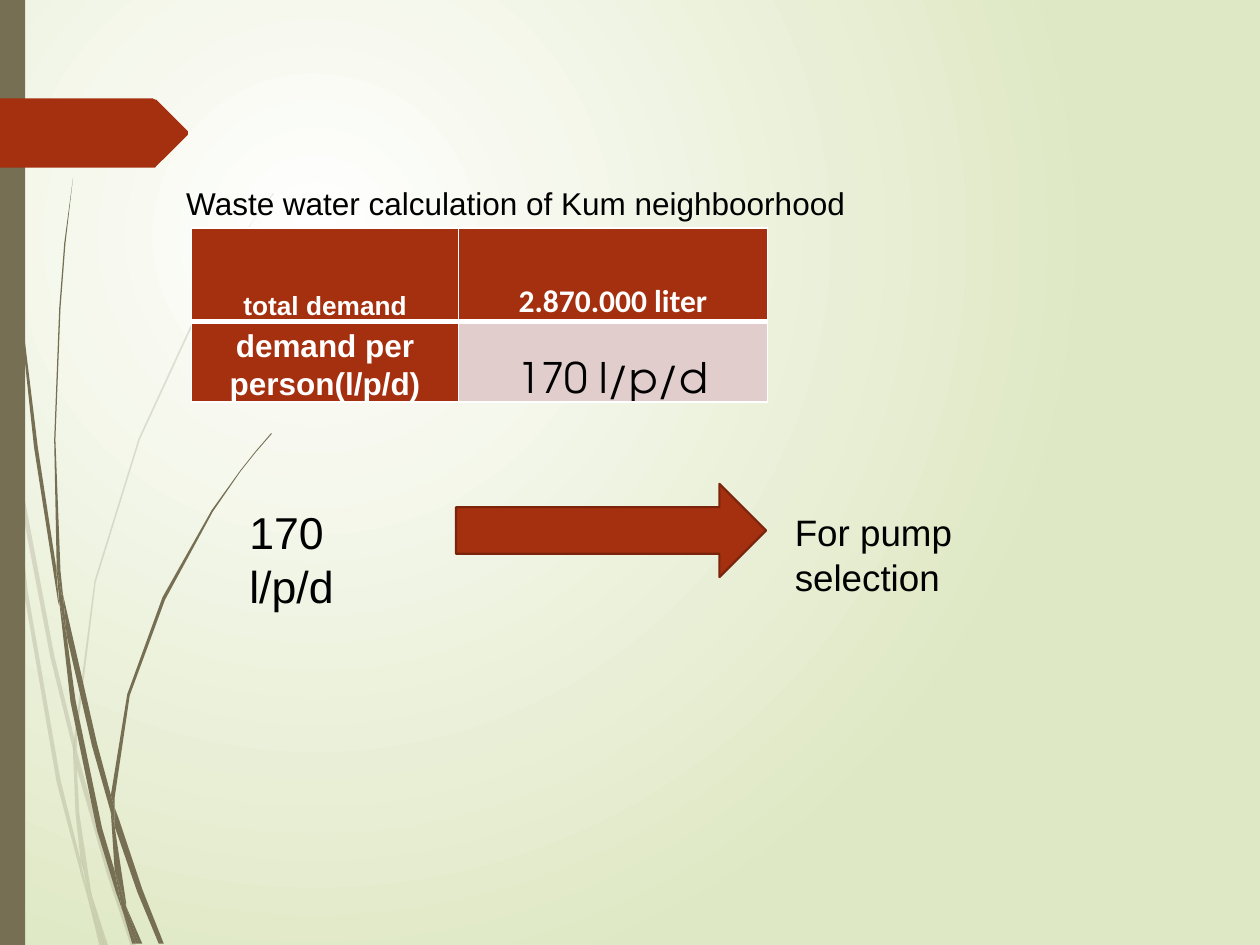
from dataclasses import dataclass

from lxml.etree import SubElement
from pptx import Presentation
from pptx.dml.color import RGBColor
from pptx.enum.shapes import MSO_SHAPE
from pptx.enum.text import MSO_ANCHOR, MSO_AUTO_SIZE, PP_ALIGN
from pptx.oxml.ns import qn
from pptx.util import Inches, Pt

COLORS = {
    "olive": "766F54",
    "rust": "A53010",
    "rust_edge": "7A240C",
    "blush": "E1CDCC",
    "white": "FFFFFF",
    "black": "000000",
    "pale_green": "DFE8C4",
}
HUNDREDTH = Inches(0.01)

FAINT_STEMS = (
    "8,350 6,322 0,282 0,299 7,344",
    "40,522 59,599 59,586 43,520 10,345 12,376",
    "64,607 61,596 61,610 85,694 104,751 108,751 88,692",
    "83,751 86,751 73,711",
    "64,683 48,619 22,469 12,376 8,350 19,470 45,621 64,693 70,714 69,707",
    "58,599 60,646 64,683 67,692 73,711 72,706 63,646 61,610 61,608",
    "61,584 76,462 111,349 159,245 187,198 201,175 217,154 217,153 "
    "201,175 186,197 158,244 110,348 75,461 59,584 59,586 61,596",
    "70,714 79,751 82,751",
    "61,608 61,610 61,596 59,586 58,599",
    "67,692 65,683 69,707 70,714 82,751 83,751 73,711",
)
DARK_STEMS = (
    "5,110 14,233 27,355 46,477 47,481 45,457 45,453 30,355 15,232 6,109 "
    "4,48 3,0 2,0 3,48",
    "73,592 88,645 88,633 88,631 77,590 50,472 53,505",
    "94,649 91,641 91,656 109,708 126,749 130,749 113,706",
    "91,691 81,657 60,556 53,505 47,477 56,557 77,659 92,708 97,722 96,717",
    "50,472 48,453 44,349 48,245 52,193 58,141 51,193 47,245 43,349 45,449 49,472",
    "110,749 113,749 100,719",
    "47,477 53,505 50,472 49,472 45,449 45,453",
    "91,633 103,552 131,476 169,406 191,374 203,359 216,344 215,344 "
    "203,358 191,373 168,405 129,474 101,551 88,631 91,641",
    "97,722 105,749 108,749",
    "88,645 91,691 96,706 100,719 100,716 91,656 90,651",
    "88,645 90,651 91,656 91,641 88,631 88,633",
    "96,706 91,691 96,717 97,722 108,749 110,749 100,719",
)
TITLE_TAB = "149,107 124,132 123,133 121,133 0,133 0,78 121,78 123,79 124,79 149,104"


@dataclass
class Wording:
    text: str
    size: float
    font: str = "Arial"
    color: str = "black"
    bold: bool = False


@dataclass
class Label:
    left: float
    top: float
    width: float
    height: float
    wording: Wording


@dataclass
class DemandCell:
    wording: Wording
    fill: str


LABELS = (
    Label(1.38, 1.41, 6.37, 0.4,
          Wording("Waste water calculation of Kum neighboorhood", 18)),
    Label(1.88, 3.96, 1.52, 0.96, Wording("170 l/p/d", 25.5)),
    Label(6.21, 4, 2.6, 0.81, Wording("For pump selection", 21)),
)
DEMAND_ROWS = (
    (DemandCell(Wording("total demand", 15, "Arial", "white", True), "rust"),
     DemandCell(Wording("2.870.000 liter", 18, "Calibri", "white", True), "rust")),
    (DemandCell(Wording("demand per person(l/p/d)", 18, "Arial", "white", True), "rust"),
     DemandCell(Wording("170 l/p/d", 24, "TeX Gyre Adventor"), "blush")),
)


def rgb(name: str) -> RGBColor:
    return RGBColor.from_string(COLORS[name])


def paint(shape, fill: str, edge: str = "") -> None:
    shape.shadow.inherit = False
    shape.fill.solid()
    shape.fill.fore_color.rgb = rgb(fill)
    if edge:
        shape.line.color.rgb = rgb(edge)
        shape.line.width = Pt(1.25)
    else:
        shape.line.fill.background()


def draw_background(slide) -> None:
    fill = slide.background.fill
    fill.gradient()
    for stop, position, name in zip(fill.gradient_stops, (0, 1), ("white", "pale_green")):
        stop.position = position
        stop.color.rgb = rgb(name)
    gradient = slide.element.find(".//" + qn("a:gradFill"))
    gradient.remove(gradient.find(qn("a:lin")))
    circle = SubElement(gradient, qn("a:path"), path="circle")
    SubElement(circle, qn("a:fillToRect"), l="50000", t="50000", r="100000", b="100000")


def draw_outline(shapes, outline: str, fill: str, opacity: int = 100) -> None:
    start, *others = [tuple(map(int, pair.split(","))) for pair in outline.split()]
    builder = shapes.build_freeform(*start, scale=HUNDREDTH)
    builder.add_line_segments(others, close=True)
    shape = builder.convert_to_shape()
    paint(shape, fill)
    if opacity < 100:
        color = shape.element.spPr.find(qn("a:solidFill"))[0]
        SubElement(color, qn("a:alpha"), val=str(opacity * 1000))


def draw_stems(slide, stems: tuple[str, ...], opacity: int) -> None:
    group = slide.shapes.add_group_shape()
    for stem in stems:
        draw_outline(group.shapes, stem, "olive", opacity)


def write(paragraph, wording: Wording) -> None:
    run = paragraph.add_run()
    run.text = wording.text
    run.font.size = Pt(wording.size)
    run.font.name = wording.font
    run.font.bold = wording.bold
    run.font.color.rgb = rgb(wording.color)


def draw_label(slide, label: Label) -> None:
    box = slide.shapes.add_textbox(Inches(label.left), Inches(label.top),
                                   Inches(label.width), Inches(label.height))
    box.text_frame.word_wrap = True
    box.text_frame.auto_size = MSO_AUTO_SIZE.SHAPE_TO_FIT_TEXT
    write(box.text_frame.paragraphs[0], label.wording)


def draw_borders(cell, top: int, bottom: int) -> None:
    properties = cell._tc.get_or_add_tcPr()
    for side, width in (("L", 1), ("R", 1), ("T", top), ("B", bottom)):
        border = SubElement(properties, qn(f"a:ln{side}"), w=str(Pt(width)))
        solid = SubElement(border, qn("a:solidFill"))
        SubElement(solid, qn("a:srgbClr"), val=COLORS["white"])


def draw_demand_table(slide) -> None:
    table = slide.shapes.add_table(2, 2, Inches(1.52), Inches(1.81),
                                   Inches(4.57), Inches(1.38)).table
    for column, width in zip(table.columns, (2.12, 2.45)):
        column.width = Inches(width)
    for row, height in zip(table.rows, (0.74, 0.64)):
        row.height = Inches(height)
    for row, entries, borders in zip(table.rows, DEMAND_ROWS, ((1, 3), (3, 1))):
        for cell, entry in zip(row.cells, entries):
            draw_borders(cell, *borders)
            cell.fill.solid()
            cell.fill.fore_color.rgb = rgb(entry.fill)
            cell.vertical_anchor = MSO_ANCHOR.BOTTOM
            cell.margin_left = cell.margin_right = Inches(0.04)
            cell.margin_top = cell.margin_bottom = 0
            paragraph = cell.text_frame.paragraphs[0]
            paragraph.alignment = PP_ALIGN.CENTER
            paragraph.line_spacing = 1.07
            write(paragraph, entry.wording)


def main() -> None:
    deck = Presentation()
    deck.slide_width, deck.slide_height = Inches(10), Inches(7.5)
    slide = deck.slides.add_slide(deck.slide_layouts[6])
    draw_background(slide)
    draw_stems(slide, FAINT_STEMS, 20)
    draw_stems(slide, DARK_STEMS, 100)
    side_band = slide.shapes.add_shape(MSO_SHAPE.RECTANGLE, 0, 0, Inches(0.2), Inches(7.5))
    paint(side_band, "olive")
    draw_outline(slide.shapes, TITLE_TAB, "rust")
    draw_demand_table(slide)
    pump_arrow = slide.shapes.add_shape(MSO_SHAPE.RIGHT_ARROW, Inches(3.62), Inches(3.84),
                                        Inches(2.46), Inches(0.74))
    paint(pump_arrow, "rust", "rust_edge")
    for label in LABELS:
        draw_label(slide, label)
    deck.save("out.pptx")


if __name__ == "__main__":
    main()
